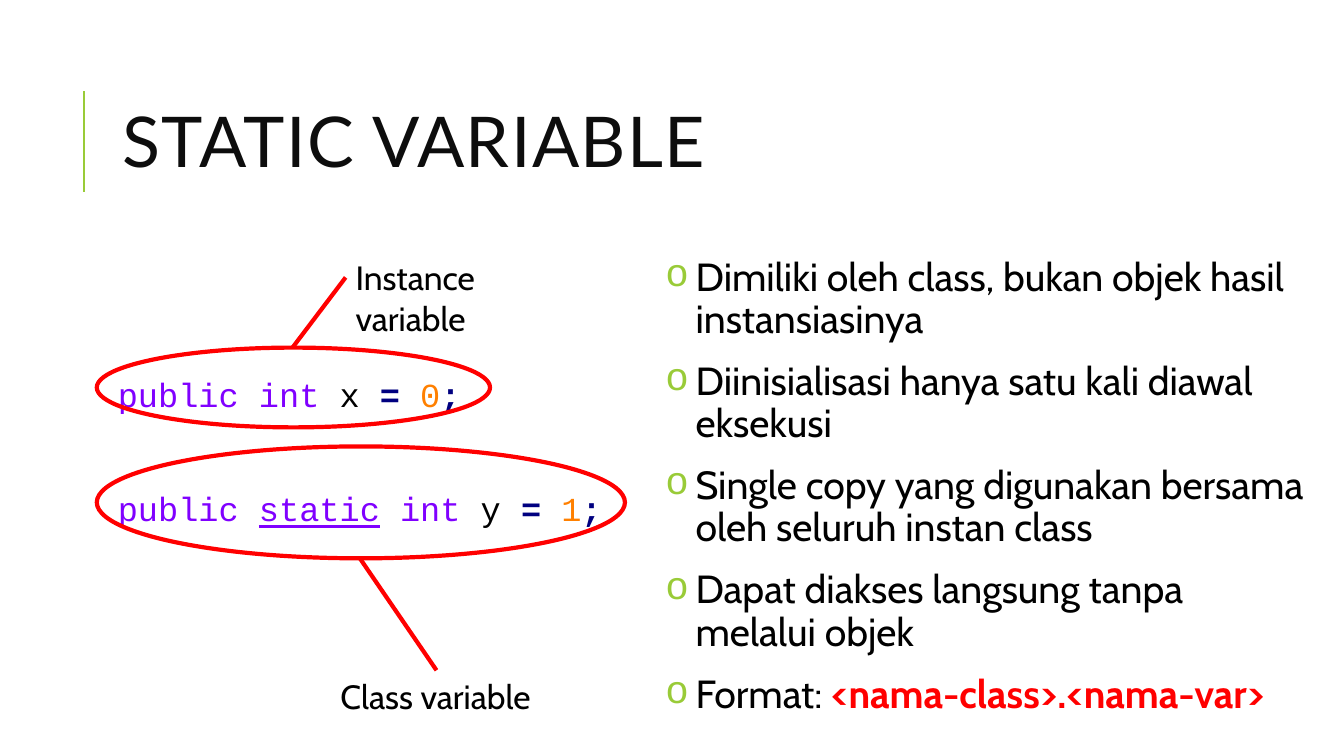
from dataclasses import dataclass
from typing import NamedTuple, Optional

from lxml import etree
from pptx import Presentation
from pptx.dml.color import RGBColor
from pptx.enum.shapes import MSO_CONNECTOR, MSO_SHAPE
from pptx.enum.text import MSO_ANCHOR, PP_ALIGN
from pptx.oxml.ns import qn
from pptx.util import Cm, Pt

ELLIPSE = MSO_SHAPE.OVAL
STRAIGHT = MSO_CONNECTOR.STRAIGHT
MIDDLE, TOP = MSO_ANCHOR.MIDDLE, MSO_ANCHOR.TOP
LEFT = PP_ALIGN.LEFT


@dataclass(frozen=True)
class Theme:
    ink: str = "000000"
    title_ink: str = "0D0D0D"
    accent: str = "99CB38"
    mark: str = "FF0000"
    keyword: str = "8000FF"
    operator: str = "000080"
    number: str = "FF8000"
    title_font: str = "Lato"
    body_font: str = "Cabin"
    code_font: str = "Courier New"
    title_size: float = 50
    body_size: float = 28
    code_size: float = 24
    rule_width: float = 1.5
    mark_width: float = 3


THEME = Theme()


class Box(NamedTuple):
    left: float
    top: float
    width: float
    height: float


class Segment(NamedTuple):
    x1: float
    y1: float
    x2: float
    y2: float
    color: str = THEME.mark
    width: float = THEME.mark_width


class Span(NamedTuple):
    text: str
    color: str = THEME.ink
    bold: bool = False
    underline: bool = False


@dataclass(frozen=True)
class TextStyle:
    font: str
    size: float
    inset: float = 0.13
    top_inset: float = 0.13
    anchor: MSO_ANCHOR = TOP
    wrap: bool = True
    line_spacing: float = 0.9
    first_before: float = 12
    before: float = 12
    after: float = 2
    tracking: Optional[int] = None
    bullet: Optional[str] = None


TITLE_STYLE = TextStyle(THEME.title_font, THEME.title_size, 0.25, anchor=MIDDLE,
                        line_spacing=0.8, first_before=0, after=0, tracking=100)
CODE_STYLE = TextStyle(THEME.code_font, THEME.code_size, top_inset=3.18,
                       first_before=0, before=53.5)
POINT_STYLE = TextStyle(THEME.body_font, THEME.body_size, bullet="o")
LABEL_FORMAT = dict(font=THEME.body_font, size=THEME.code_size, inset=0.25,
                    line_spacing=1.0, first_before=0, after=0)

CODE_LINES = [
    [Span("public int ", THEME.keyword), Span("x "),
     Span("= ", THEME.operator, True), Span("0", THEME.number),
     Span(";", THEME.operator, True)],
    [Span("public ", THEME.keyword), Span("static", THEME.keyword, underline=True),
     Span(" "), Span("int ", THEME.keyword), Span("y "),
     Span("= ", THEME.operator, True), Span("1", THEME.number),
     Span(";", THEME.operator, True)],
]
POINTS = [
    [Span("Dimiliki oleh class, bukan objek hasil instansiasinya")],
    [Span("Diinisialisasi hanya satu kali diawal eksekusi")],
    [Span("Single copy yang digunakan bersama oleh seluruh instan class")],
    [Span("Dapat diakses langsung tanpa melalui objek")],
    [Span("Format: "), Span("<nama-class>.<nama-var>", THEME.mark, True)],
]
TEXTS = [
    (Box(2.84, 1.63, 27, 4.17), [[Span("STATIC VARIABLE", THEME.title_ink)]], TITLE_STYLE),
    (Box(2.84, 6.35, 13.21, 11.18), CODE_LINES, CODE_STYLE),
    (Box(16.64, 6.35, 16.36, 12.29), POINTS, POINT_STYLE),
    (Box(8.71, 6.35, 6.3, 1.27), [[Span("Instance variable")]], TextStyle(**LABEL_FORMAT)),
    (Box(8.33, 16.89, 5.36, 1.27), [[Span("Class variable")]],
     TextStyle(**LABEL_FORMAT, wrap=False)),
]
RINGS = [Box(2.44, 8.76, 9.91, 2.01), Box(2.44, 11.25, 13.31, 2.82)]
SEGMENTS = [
    Segment(2.11, 4.83, 2.11, 2.29, THEME.accent, THEME.rule_width),
    Segment(9.07, 14.07, 11, 16.89),
    Segment(8.71, 6.99, 7.37, 8.76),
]


def apply_format(target, values: dict) -> None:
    for attribute, value in values.items():
        setattr(target, attribute, value)


def add_bullet(paragraph, character: str) -> None:
    """Give the paragraph an accent-coloured bullet with a hanging indent."""
    properties = paragraph._p.get_or_add_pPr()
    properties.set("marL", str(Cm(0.76)))
    properties.set("indent", str(-Cm(0.76)))
    color = etree.SubElement(properties, qn("a:buClr"))
    etree.SubElement(color, qn("a:srgbClr"), val=THEME.accent)
    etree.SubElement(properties, qn("a:buFont"), typeface=THEME.code_font)
    etree.SubElement(properties, qn("a:buChar"), char=character)


def add_span(paragraph, span: Span, style: TextStyle) -> None:
    run = paragraph.add_run()
    run.text = span.text
    apply_format(run.font, {"name": style.font, "size": Pt(style.size),
                            "bold": span.bold, "underline": span.underline})
    run.font.color.rgb = RGBColor.from_string(span.color)
    if style.tracking is not None:
        run.font._element.set("spc", str(style.tracking))


def add_text(slide, box: Box, lines: list[list[Span]], style: TextStyle) -> None:
    frame = slide.shapes.add_textbox(*map(Cm, box)).text_frame
    apply_format(frame, {
        "word_wrap": style.wrap, "vertical_anchor": style.anchor,
        "margin_left": Cm(style.inset), "margin_right": Cm(style.inset),
        "margin_top": Cm(style.top_inset), "margin_bottom": Cm(0.13)})
    for index, spans in enumerate(lines):
        paragraph = frame.add_paragraph() if index else frame.paragraphs[0]
        before = style.before if index else style.first_before
        apply_format(paragraph, {
            "alignment": LEFT, "line_spacing": style.line_spacing,
            "space_before": Pt(before), "space_after": Pt(style.after)})
        if style.bullet:
            add_bullet(paragraph, style.bullet)
        for span in spans:
            add_span(paragraph, span, style)


def set_line(line, color: str, width: float) -> None:
    line.color.rgb = RGBColor.from_string(color)
    line.width = Pt(width)


def add_ring(slide, box: Box) -> None:
    ring = slide.shapes.add_shape(ELLIPSE, *map(Cm, box))
    ring.shadow.inherit = False
    ring.fill.background()
    set_line(ring.line, THEME.mark, THEME.mark_width)


def add_segment(slide, segment: Segment) -> None:
    connector = slide.shapes.add_connector(STRAIGHT, *map(Cm, segment[:4]))
    set_line(connector.line, segment.color, segment.width)
    etree.SubElement(connector._element.spPr, qn("a:effectLst"))


def main() -> None:
    presentation = Presentation()
    apply_format(presentation, {"slide_width": Cm(33.87), "slide_height": Cm(19.05)})
    slide = presentation.slides.add_slide(presentation.slide_layouts[6])
    for box, lines, style in TEXTS:
        add_text(slide, box, lines, style)
    for ring in RINGS:
        add_ring(slide, ring)
    for segment in SEGMENTS:
        add_segment(slide, segment)
    presentation.save("out.pptx")


if __name__ == "__main__":
    main()
